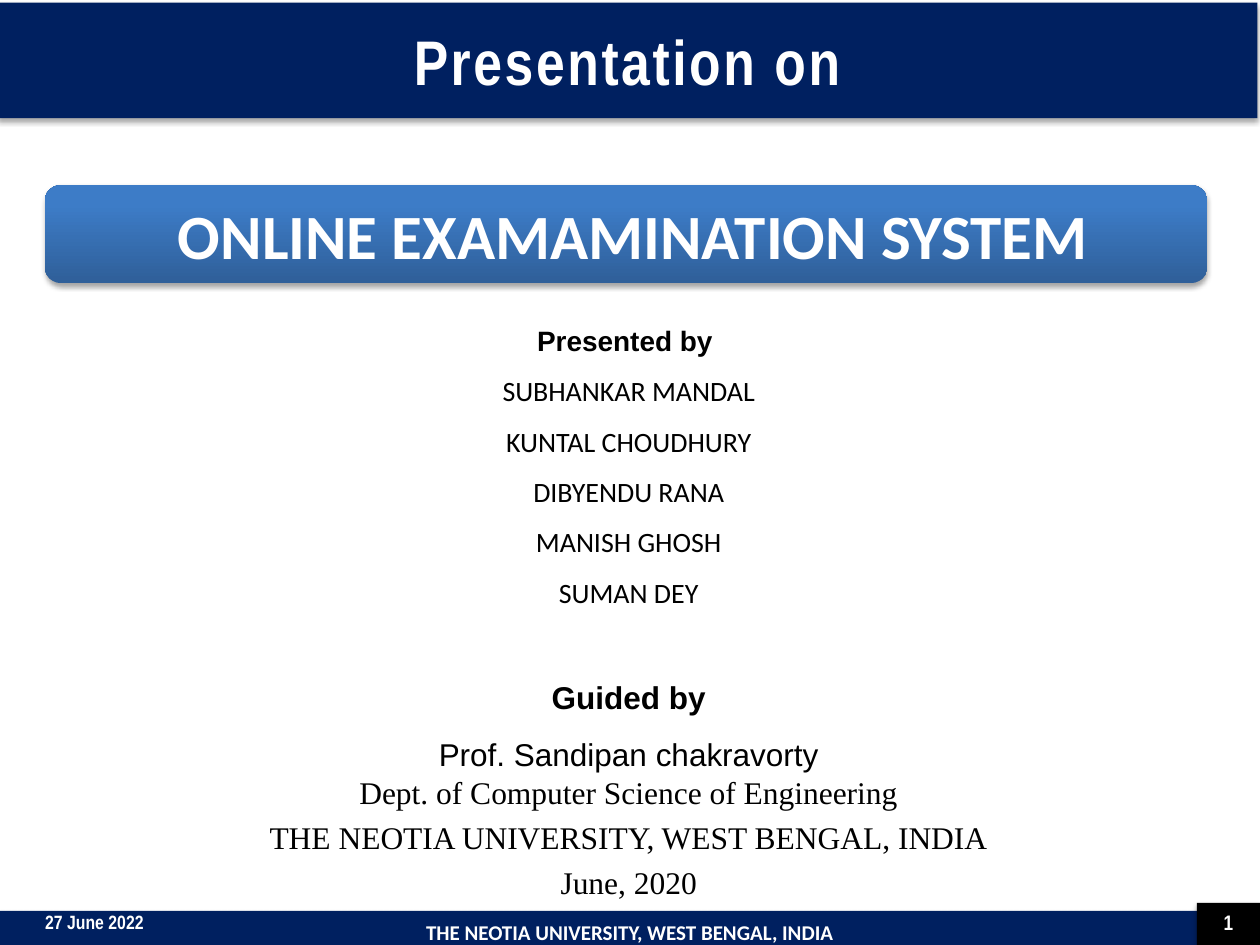
import pptx
import pptx.util
import pptx.dml.color
import pptx.enum.shapes
import pptx.enum.text
import pptx.oxml
import pptx.oxml.ns

Pt = pptx.util.Pt
SHAPE = pptx.enum.shapes.MSO_SHAPE
NAVY, BLACK, WHITE = "002060", "000000", "FFFFFF"
UNIVERSITY = "THE NEOTIA UNIVERSITY, WEST BENGAL, INDIA"

TITLE = "Presentation on"
BANNER = " ONLINE EXAMAMINATION SYSTEM"
DATE = "27 June 2022"
PAGE = "1"
# text, size, font, bold, line spacing, space before, space after
PEOPLE = [("Presented by ", 16, "Arial", True, 1.5, 0, 0)]
PEOPLE += [(name, 16, "Calibri", False, 1.5, 0, 0) for name in (
    "SUBHANKAR MANDAL", "KUNTAL CHOUDHURY", "DIBYENDU RANA",
    "MANISH GHOSH", "SUMAN DEY")]
PEOPLE += [("Guided by", 18, "Arial", True, 1.5, 29, 0),
           ("Prof. Sandipan chakravorty", 18, "Arial", False, 1.5, 0, 0)]
PEOPLE += [(line, 18, "Times New Roman", False, 1, 0, 4) for line in (
    "Dept. of Computer Science of Engineering", UNIVERSITY, "June, 2020")]


def rgb(hex_color):
    return pptx.dml.color.RGBColor.from_string(hex_color)


def place(sp, left, top, width, height):
    sp.left, sp.top, sp.width, sp.height = map(Pt, (left, top, width, height))


def add_shadow(sp):
    ns = pptx.oxml.ns.nsdecls("a")
    sp.shadow.inherit = False
    effects = sp._element.spPr.find(pptx.oxml.ns.qn("a:effectLst"))
    effects.append(pptx.oxml.parse_xml(
        f'<a:outerShdw {ns} blurRad="{Pt(3.1)}" dist="{Pt(1.8)}" dir="5400000" '
        'rotWithShape="0"><a:srgbClr val="000000"><a:alpha val="35000"/>'
        '</a:srgbClr></a:outerShdw>'))


def paint(sp, color):
    sp.fill.solid()
    sp.fill.fore_color.rgb = rgb(color)
    sp.line.fill.background()
    add_shadow(sp)


def write(sp, lines, color=WHITE):
    tf = sp.text_frame
    tf.word_wrap = True
    tf.vertical_anchor = pptx.enum.text.MSO_ANCHOR.MIDDLE
    tf.text = "\n".join(line[0] for line in lines)
    for p, (_, size, font, bold, spacing, before, after) in zip(tf.paragraphs, lines):
        p.alignment = pptx.enum.text.PP_ALIGN.CENTER
        p.line_spacing = spacing
        p.space_before, p.space_after = Pt(before), Pt(after)
        for r in p.runs:
            r.font.size, r.font.name, r.font.bold = Pt(size), font, bold
            r.font.color.rgb = rgb(color)


def add_box(s, kind, *box):
    return s.shapes.add_shape(kind, *map(Pt, box))


def add_text(s, *box):
    return s.shapes.add_textbox(*map(Pt, box))


def main():
    prs = pptx.Presentation()
    prs.slide_width, prs.slide_height = Pt(720), Pt(540)
    s = prs.slides.add_slide(prs.slide_layouts[5])

    title = s.shapes.title
    place(title, -1.5, 1.5, 720, 66)
    paint(title, NAVY)
    write(title, [(TITLE, 36, "Arial Narrow", True, 1, 0, 0)])
    title.text_frame.paragraphs[0].runs[0].font._element.set("spc", "150")

    footer = add_box(s, SHAPE.RECTANGLE, 0, 520.5, 720, 24)
    paint(footer, NAVY)
    write(footer, [(UNIVERSITY, 12, "Calibri", True, 1, 0, 0)])

    date = add_text(s, 0, 516, 108, 24)
    write(date, [(DATE, 11, "Arial Narrow", True, 0.8, 0, 0)])

    page = add_box(s, SHAPE.RECTANGLE, 684, 516, 36, 24)
    paint(page, BLACK)
    write(page, [(PAGE, 12, "Arial Narrow", True, 0.8, 0, 0)])

    banner = add_box(s, SHAPE.ROUNDED_RECTANGLE, 25.5, 105.8, 664.5, 56)
    banner.fill.gradient()
    banner.fill.gradient_angle = 90
    for stop, (pos, color) in zip(banner.fill.gradient_stops,
                                  [(0, "2F5F99"), (0.8, "3D7CC7")]):
        stop.position, stop.color.rgb = pos, rgb(color)
    banner.line.fill.background()
    add_shadow(banner)
    write(banner, [(BANNER, 36, "Calibri", True, 1, 0, 0)])

    people = add_text(s, -0.7, 168.5, 720, 352.8)
    write(people, PEOPLE, BLACK)

    prs.save("out.pptx")


if __name__ == "__main__":
    main()
